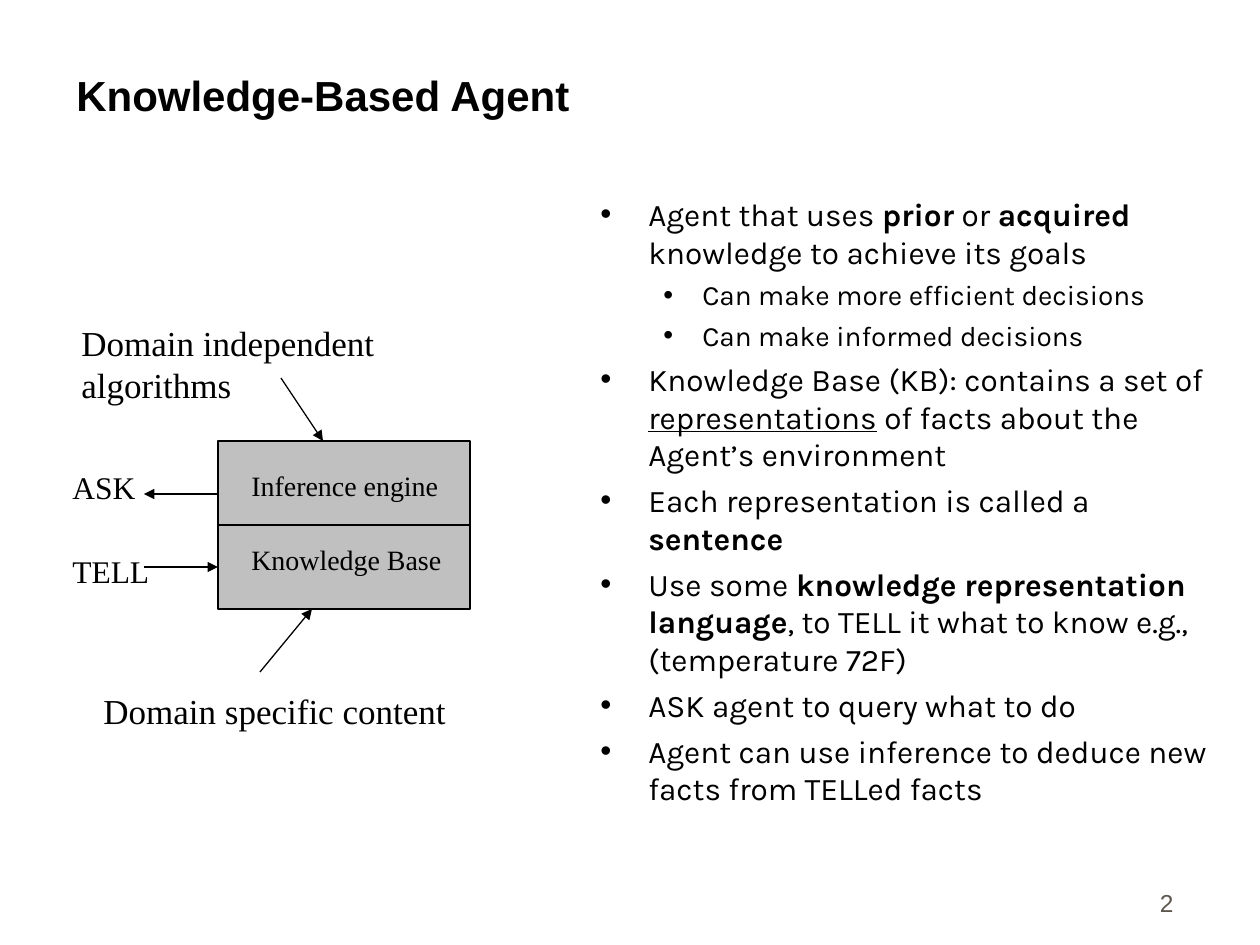
"""Build the Knowledge-Based Agent slide: a diagram beside a bulleted list."""
from pptx import Presentation
from pptx.dml.color import RGBColor
from pptx.enum.shapes import MSO_CONNECTOR as CONNECTOR, MSO_SHAPE as SHAPE
from pptx.enum.text import MSO_ANCHOR as ANCHOR, PP_ALIGN as ALIGN
from pptx.oxml.ns import qn
from pptx.util import Emu, Pt
from lxml.etree import SubElement

SCALE = 9144000 / 1260
COLORS = {"text": "000000", "box": "C0C0C0", "number": "5E574E"}


def px(*lengths):
    return [Emu(round(length * SCALE)) for length in lengths]


def add_text(area, text, size, font, color="text", wrap=True):
    box = slide.shapes.add_textbox(*px(*area))
    box.text_frame.word_wrap = wrap
    paragraph = box.text_frame.paragraphs[0]
    paragraph.text = text
    paragraph.font.size = Pt(size)
    paragraph.font.name = font
    paragraph.font.color.rgb = RGBColor.from_string(COLORS[color])
    return box.text_frame


prs = Presentation()
prs.slide_width, prs.slide_height = px(1260, 945)
slide = prs.slides.add_slide(prs.slide_layouts[6])

title = add_text((64, 32, 1124, 94), "Knowledge-Based Agent", 24, "Arial")
title.vertical_anchor = ANCHOR.BOTTOM
title.paragraphs[0].font.bold = True

points = [
    (0, [("Agent that uses ", ""), ("prior", "b"), (" or ", ""), ("acquired", "b"),
         (" knowledge to achieve its goals", "")]),
    (1, [("Can make more efficient decisions", "")]),
    (1, [("Can make informed decisions", "")]),
    (0, [("Knowledge Base (KB): contains a set of ", ""), ("representations", "u"),
         (" of facts about the Agent’s environment", "")]),
    (0, [("Each representation is called a ", ""), ("sentence", "b")]),
    (0, [("Use some ", ""), ("knowledge representation language", "b"),
         (", to TELL it what to know e.g., (temperature 72F)", "")]),
    (0, [("ASK agent to query what to do", "")]),
    (0, [("Agent can use inference to deduce new facts from TELLed facts", "")]),
]
levels = [(48, 48, 18, 4.5), (102, 39, 16, 4)]
body = slide.shapes.add_textbox(*px(588, 189, 640, 693)).text_frame
body.word_wrap = True
for index, (level, parts) in enumerate(points):
    margin, hanging, size, space = levels[level]
    point = body.add_paragraph() if index else body.paragraphs[0]
    point.level = level
    if index:
        point.space_before = Pt(space)
    properties = point._p.get_or_add_pPr()
    left, indent = px(margin, -hanging)
    properties.set("marL", str(left))
    properties.set("indent", str(indent))
    SubElement(properties, qn("a:buFont")).set("typeface", "Arial")
    SubElement(properties, qn("a:buChar")).set("char", "•")
    point.font.size = Pt(size)
    point.font.name = "Karla"
    point.font.color.rgb = RGBColor.from_string(COLORS["text"])
    for words, style in parts:
        run = point.add_run()
        run.text = words
        if style == "b":
            run.font.bold = True
        elif style == "u":
            run.font.underline = True

layers = []
for top in (441, 525):
    layer = slide.shapes.add_shape(SHAPE.RECTANGLE, *px(218, top, 252, 84))
    layer.shadow.inherit = False
    layer.fill.solid()
    layer.fill.fore_color.rgb = RGBColor.from_string(COLORS["box"])
    layer.line.color.rgb = RGBColor.from_string(COLORS["text"])
    layer.line.width = Pt(0.75)
    layers.append(layer)
knowledge_base = layers[1]

labels = [
    ("Knowledge Base", (239, 536, 215, 47), 16),
    ("Inference engine", (239, 462, 212, 47), 16),
    ("Domain independent algorithms", (69, 315, 476, 55), 20),
    ("Domain specific content", (91, 683, 368, 55), 20),
    ("TELL", (60, 546, 102, 50), 18),
    ("ASK", (60, 462, 88, 50), 18),
]
for label, area, size in labels:
    add_text(area, label, size, "Times New Roman", wrap=False)

arrows = [
    ((260, 672, 312, 609), None),
    ((281, 378, 323, 441), None),
    ((144, 567, 218, 567), knowledge_base),
    ((218, 494, 144, 494), None),
]
for ends, target in arrows:
    arrow = slide.shapes.add_connector(CONNECTOR.STRAIGHT, *px(*ends))
    if target is not None:
        arrow.end_connect(target, 1)
    arrow.line.color.rgb = RGBColor.from_string(COLORS["text"])
    arrow.line.width = Pt(0.75)
    SubElement(arrow.line._get_or_add_ln(), qn("a:tailEnd")).set("type", "triangle")
    SubElement(arrow._element.spPr, qn("a:effectLst"))

number = add_text((924, 861, 262, 63), "2", 14, "Arial", "number")
number.vertical_anchor = ANCHOR.BOTTOM
number.paragraphs[0].alignment = ALIGN.RIGHT

prs.save("out.pptx")
